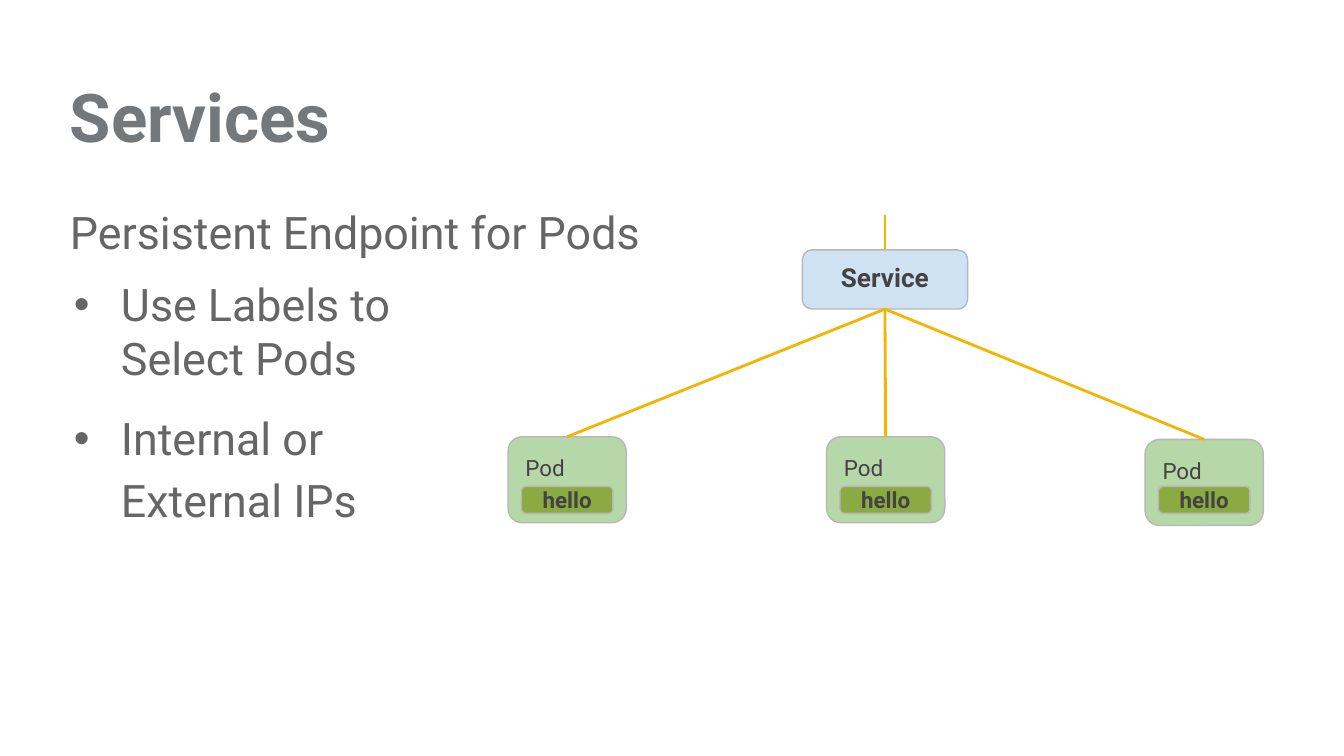
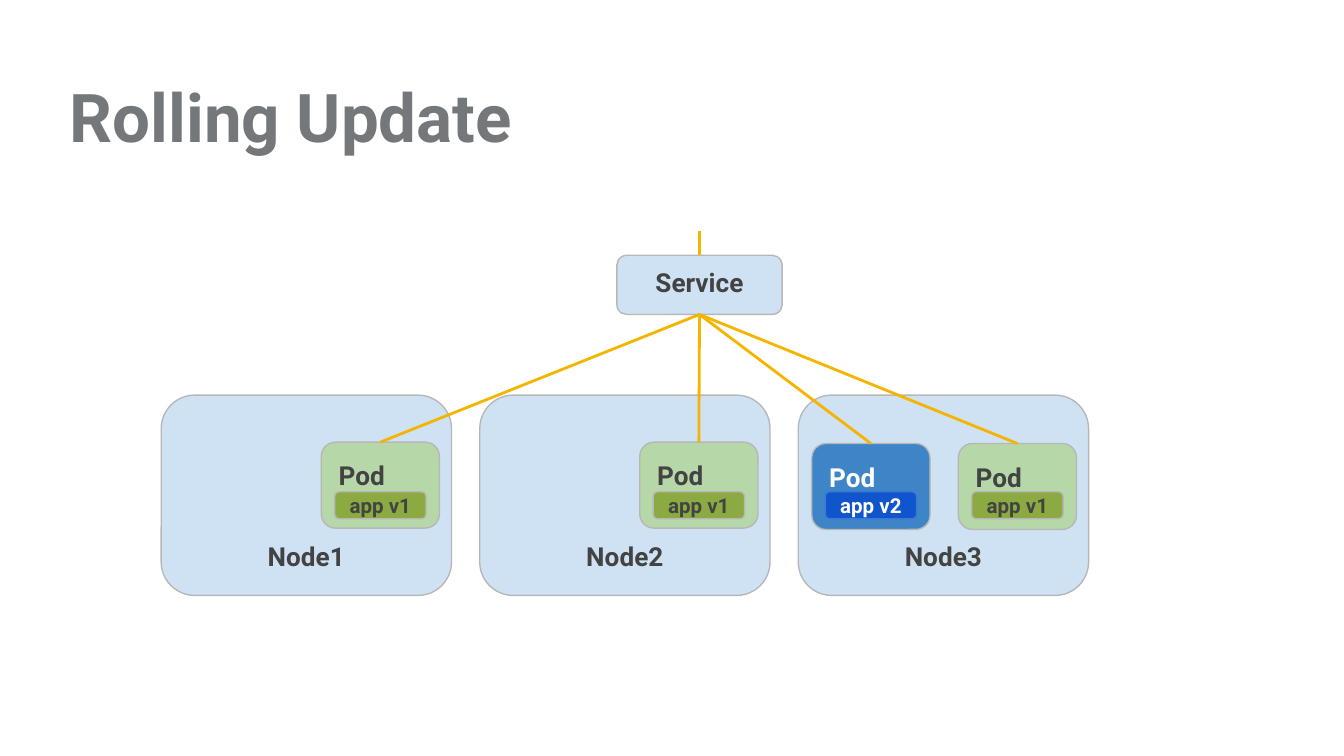
import pptx
import pptx.dml.color
import pptx.enum.shapes
import pptx.enum.text
import pptx.util
from lxml import etree

Inches, Pt = pptx.util.Inches, pptx.util.Pt
RGB = pptx.dml.color.RGBColor.from_string
ALIGN = pptx.enum.text.PP_ALIGN
ANCHOR = pptx.enum.text.MSO_ANCHOR
ROUNDED = pptx.enum.shapes.MSO_SHAPE.ROUNDED_RECTANGLE
STRAIGHT = pptx.enum.shapes.MSO_CONNECTOR.STRAIGHT

THEME = {
    "font": "Roboto",
    "title": {"size": 36, "color": "75787A", "bold": True},
    "body": {"size": 24, "color": "666666", "bold": False},
    "pod_plain": {"size": 12, "color": "434343", "bold": False},
    "hello": {"size": 12, "color": "434343", "bold": True},
    "label": {"size": 14, "color": "434343", "bold": True},
    "label_new": {"size": 14, "color": "FFFFFF", "bold": True},
    "app": {"size": 11, "color": "434343", "bold": True},
    "app_new": {"size": 11, "color": "FFFFFF", "bold": True},
    "blue": "CFE2F3",
    "green": "B6D7A8",
    "olive": "8BAB42",
    "new_pod": "3D85C6",
    "new_app": "1155CC",
    "new_edge": "3C78D8",
    "edge": "B7B7B7",
    "link": "F4B400",
}
INSET = Inches(0.1)
FRAME = {"margin_left": INSET, "margin_right": INSET,
         "margin_top": INSET, "margin_bottom": INSET,
         "auto_size": pptx.enum.text.MSO_AUTO_SIZE.NONE}
LABEL = {"word_wrap": True, "vertical_anchor": ANCHOR.BOTTOM}
POD = {"word_wrap": True, "vertical_anchor": ANCHOR.TOP}
TAG = {"word_wrap": False, "vertical_anchor": ANCHOR.MIDDLE}
PITCH = 2.37
POD_W, POD_H = 0.88, 0.64
TAG_W, TAG_H = 0.68, 0.2
SERVICE_W, SERVICE_H = 1.23, 0.44


def write(shape, paragraphs, style, frame, align=ALIGN.LEFT):
    """Fill the text frame; each paragraph is a list of lines."""
    tf = shape.text_frame
    for name, value in {**FRAME, **frame}.items():
        setattr(tf, name, value)
    font = THEME[style]
    for i, lines in enumerate(paragraphs):
        p = tf.paragraphs[0] if i == 0 else tf.add_paragraph()
        p.alignment = align
        p.space_before = Pt(0)
        for n, line in enumerate(lines):
            if n:
                p.add_line_break()
            r = p.add_run()
            r.text = line
            values = {"name": THEME["font"], "size": Pt(font["size"]),
                      "bold": font["bold"]}
            for name, value in values.items():
                setattr(r.font, name, value)
            r.font.color.rgb = RGB(font["color"])


def add_box(s, place, fill, text, style, frame, align=ALIGN.CENTER, edge="edge"):
    sp = s.shapes.add_shape(ROUNDED, *map(Inches, place))
    sp.shadow.inherit = False
    sp.fill.solid()
    sp.fill.fore_color.rgb = RGB(THEME[fill])
    sp.line.color.rgb = RGB(THEME[edge])
    sp.line.width = Pt(0.75)
    write(sp, [[text]], style, frame, align)
    return sp


prs = pptx.Presentation()
prs.slide_width, prs.slide_height = Inches(10), Inches(10 * 9 / 16)

# Each pod: left, top, fill, label style, tag top, tag fill, tag text, tag style, tag edge
services_pods = [
    (3.78 + i * PITCH, top, "green", "pod_plain", 3.62, "olive", "hello", "hello", "edge")
    for i, top in enumerate([3.25, 3.25, 3.27])]
nodes = [1.2 + i * PITCH for i in range(3)]
update_pods = [
    (left + 1.19, top, "green", "label", 3.66, "olive", "app v1", "app", "edge")
    for left, top in zip(nodes, [3.29, 3.29, 3.3])]
update_pods.append((nodes[2] + 0.1, 3.3, "new_pod", "label_new", 3.66,
                    "new_app", "app v2", "app_new", "new_edge"))

# Each slide: title, layout, service left and top, entry line top, nodes, pods
slides = [
    ("Services", 1, 5.97, 1.86, 1.6, [], services_pods),
    ("Rolling Update", 5, 4.59, 1.9, 1.72, nodes, update_pods),
]

for title, layout, service_x, service_y, entry_y, node_lefts, pods in slides:
    s = prs.slides.add_slide(prs.slide_layouts[layout])
    sp = s.shapes.title
    sp.left, sp.top, sp.width, sp.height = map(Inches, (0.42, 0.53, 9, 1))
    write(sp, [[title]], "title", POD)
    sp.text_frame.paragraphs[0].line_spacing = 0.9

    for n, left in enumerate(node_lefts, 1):
        add_box(s, (left, 2.94, 2.16, 1.49), "blue", f"Node{n}", "label", LABEL)
    service = add_box(s, (service_x, service_y, SERVICE_W, SERVICE_H),
                      "blue", "Service", "label", LABEL)

    links = []
    for left, top, fill, style, tag_top, tag_fill, tag, tag_style, tag_edge in pods:
        pod = add_box(s, (left, top, POD_W, POD_H), fill, "Pod", style, POD, ALIGN.LEFT)
        tag_left = left + (POD_W - TAG_W) / 2
        add_box(s, (tag_left, tag_top, TAG_W, TAG_H), tag_fill, tag, tag_style,
                TAG, edge=tag_edge)
        link = s.shapes.add_connector(STRAIGHT, 0, 0, 0, 0)
        link.begin_connect(service, 2)
        link.end_connect(pod, 0)
        links.append(link)

    center = service.left + service.width // 2
    entry = s.shapes.add_connector(STRAIGHT, center, Inches(entry_y), center, service.top)
    entry.end_connect(service, 0)
    for link in links + [entry]:
        link.line.color.rgb = RGB(THEME["link"])
        link.line.width = Pt(1.5)
        etree.SubElement(link._element.spPr, pptx.oxml.ns.qn("a:effectLst"))

# Body list of the Services slide
body = prs.slides[0].placeholders[1]
body.left, body.top, body.width, body.height = map(Inches, (0.42, 1.42, 4.56, 3.5))
write(body, [["Persistent Endpoint for Pods"],
             ["Use Labels to ", "Select Pods"],
             ["Internal or ", "External IPs"]], "body", POD)
for i, p in enumerate(body.text_frame.paragraphs):
    pPr = p._p.get_or_add_pPr()
    pPr.set("marL", str(Inches(0.38) if i else 0))
    pPr.set("indent", str(Inches(-0.35) if i else 0))
    if i:
        color = etree.SubElement(pPr, pptx.oxml.ns.qn("a:buClr"))
        etree.SubElement(color, pptx.oxml.ns.qn("a:srgbClr"), val=THEME["body"]["color"])
        etree.SubElement(pPr, pptx.oxml.ns.qn("a:buChar"), char="•")
    else:
        etree.SubElement(pPr, pptx.oxml.ns.qn("a:buNone"))
    p.space_after = Pt(10)
    p.line_spacing = 1.15 if i == 2 else 1.0

prs.save("out.pptx")
